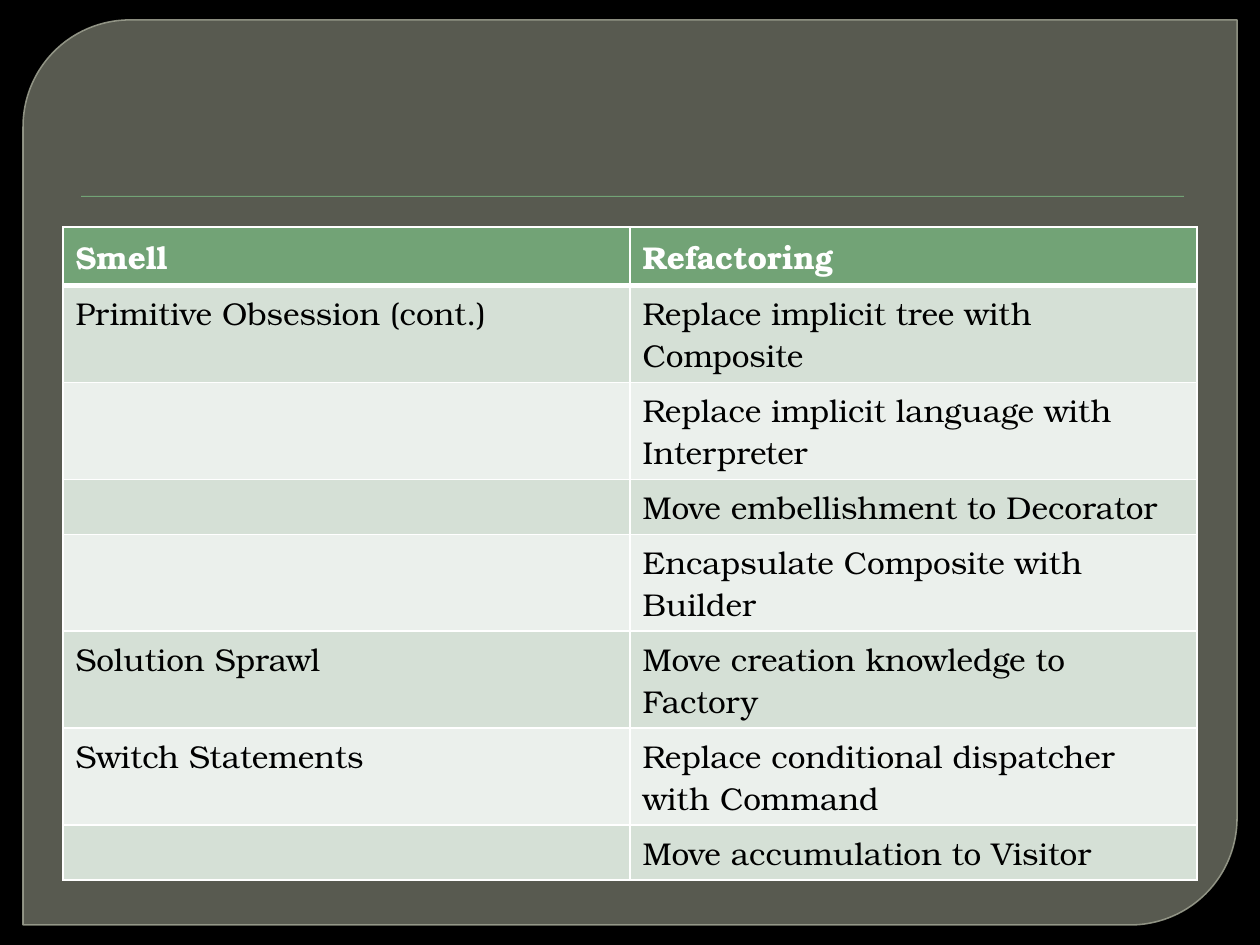
from lxml.etree import SubElement
from pptx import Presentation
from pptx.dml.color import RGBColor
from pptx.enum.shapes import MSO_SHAPE
from pptx.oxml.ns import qn
from pptx.util import Emu, Pt

PX = 914400 / 126
FONT = "TeX Gyre Bonum"
BLACK = RGBColor(0x00, 0x00, 0x00)
WHITE = RGBColor(0xFF, 0xFF, 0xFF)
PANEL = RGBColor(0x88, 0x8B, 0x7B)
PANEL_EDGE = RGBColor(0x9D, 0xA0, 0x90)
GREEN = RGBColor(0x72, 0xA3, 0x76)
BANDS = (RGBColor(0xD5, 0xE0, 0xD6), RGBColor(0xEB, 0xF0, 0xEC))

HEADER_FORMAT = {"name": FONT, "size": Pt(18), "bold": True}
BODY_FORMAT = {"name": FONT, "size": Pt(18), "bold": False}

COLUMN_WIDTH = 567
ROWS = (  # height, smell, refactoring
    (58, "Smell", "Refactoring"),
    (97, "Primitive Obsession (cont.)", "Replace implicit tree with Composite"),
    (97, "", "Replace implicit language with Interpreter"),
    (54, "", "Move embellishment to Decorator"),
    (97, "", "Encapsulate Composite with Builder"),
    (97, "Solution Sprawl", "Move creation knowledge to Factory"),
    (97, "Switch Statements", "Replace conditional dispatcher with Command"),
    (54, "", "Move accumulation to Visitor"),
)


def px(length):
    return Emu(round(length * PX))


def set_opacity(fill, percent):
    color = fill._xPr.find(qn("a:solidFill"))[0]
    SubElement(color, qn("a:alpha"), val=str(percent * 1000))


def add_filled_shape(slide, kind, left, top, width, height, color):
    shape = slide.shapes.add_shape(kind, px(left), px(top), px(width), px(height))
    shape.shadow.inherit = False
    shape.fill.solid()
    shape.fill.fore_color.rgb = color
    shape.line.fill.background()
    return shape


def add_panel(slide):
    panel = add_filled_shape(slide, MSO_SHAPE.ROUND_2_DIAG_RECTANGLE,
                             23, 20, 1214, 905, PANEL)
    panel.adjustments[0] = 0.118
    panel.adjustments[1] = 0
    set_opacity(panel.fill, 65)
    panel.line.color.rgb = PANEL_EDGE
    panel.line.width = Pt(0.87)
    set_opacity(panel.line.fill, 88)


def set_borders(cell, top, bottom):
    """Draw white borders; top and bottom are widths in points."""
    properties = cell._tc.get_or_add_tcPr()
    for side, width in {"L": 1, "R": 1, "T": top, "B": bottom}.items():
        border = SubElement(properties, qn(f"a:ln{side}"), w=str(Pt(width)))
        fill = SubElement(border, qn("a:solidFill"))
        SubElement(fill, qn("a:srgbClr"), val=str(WHITE))


def fill_cell(cell, text, row_number):
    is_header = row_number == 0
    set_borders(cell, top=3 if row_number == 1 else 1, bottom=3 if is_header else 1)
    cell.fill.solid()
    cell.fill.fore_color.rgb = GREEN if is_header else BANDS[(row_number - 1) % 2]
    para = cell.text_frame.paragraphs[0]
    font = para.font
    if text:
        span = para.add_run()
        span.text = text
        font = span.font
    for name, value in (HEADER_FORMAT if is_header else BODY_FORMAT).items():
        setattr(font, name, value)
    font.color.rgb = WHITE if is_header else BLACK


def add_smell_table(slide, left, top):
    total_height = sum(height for height, *_ in ROWS)
    table = slide.shapes.add_table(len(ROWS), 2, px(left), px(top),
                                   px(2 * COLUMN_WIDTH), px(total_height)).table
    for column in table.columns:
        column.width = px(COLUMN_WIDTH)
    for row_number, (height, *texts) in enumerate(ROWS):
        table.rows[row_number].height = px(height)
        for column_number, text in enumerate(texts):
            fill_cell(table.cell(row_number, column_number), text, row_number)


def main():
    deck = Presentation()
    deck.slide_width, deck.slide_height = px(1260), px(945)
    slide = deck.slides.add_slide(deck.slide_layouts[6])
    slide.background.fill.solid()
    slide.background.fill.fore_color.rgb = BLACK
    add_panel(slide)
    add_filled_shape(slide, MSO_SHAPE.RECTANGLE, 81, 196, 1103, 1, GREEN)
    add_smell_table(slide, 63, 227)
    deck.save("out.pptx")


if __name__ == "__main__":
    main()
